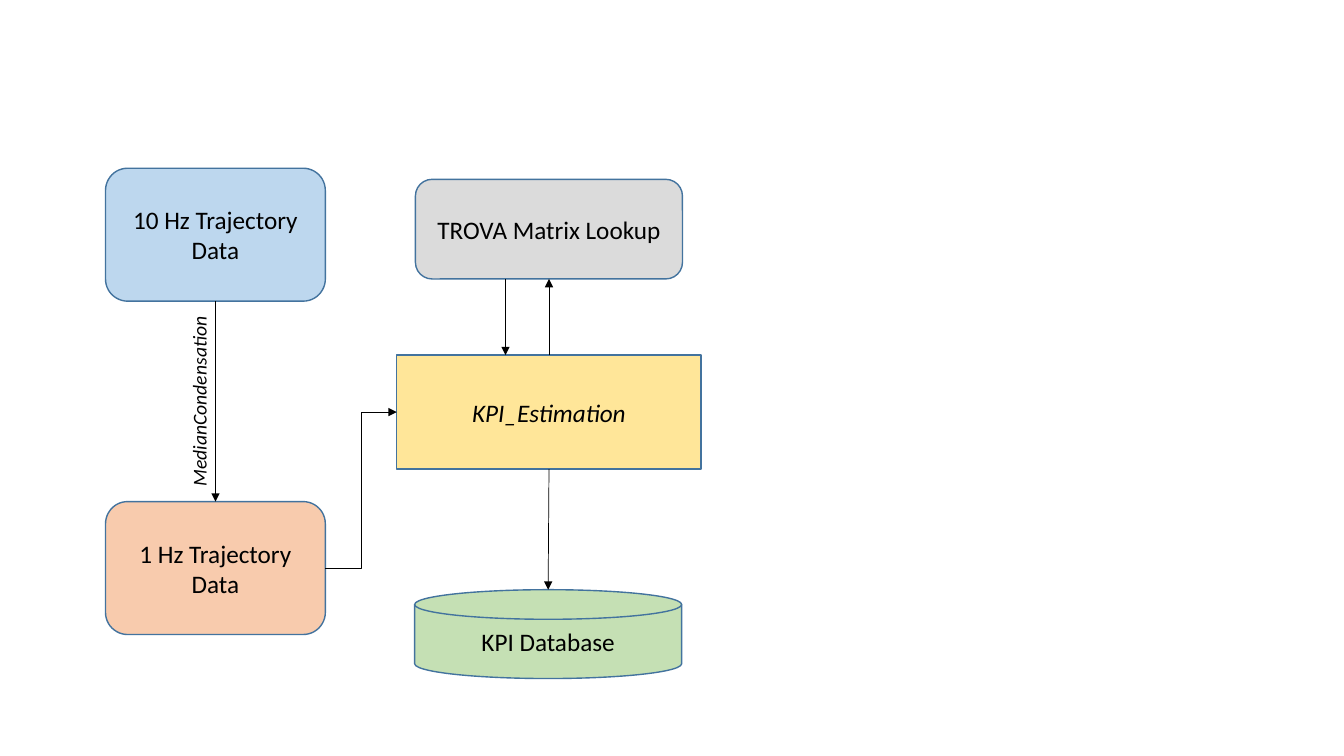
from pptx import Presentation
from pptx import util as u
from pptx.dml.color import RGBColor
from pptx.enum import shapes, text
from pptx.oxml.ns import qn
from lxml import etree

FONT = "Calibri"
BLACK, OUTLINE = "000000", "43739E"
KIND = shapes.MSO_SHAPE
LINK = shapes.MSO_CONNECTOR
TOP, LEFT, BOTTOM, RIGHT = range(4)

# name: (text, shape, fill, italic, (left, top, width, height) in cm)
STEPS = {
    "raw": ("10 Hz Trajectory Data", KIND.ROUNDED_RECTANGLE, "BDD7EE", False,
            (2.66, 4.24, 5.54, 3.35)),
    "condensed": ("1 Hz Trajectory Data", KIND.ROUNDED_RECTANGLE, "F8CBAD", False,
                  (2.66, 12.64, 5.54, 3.35)),
    "lookup": ("TROVA Matrix Lookup", KIND.ROUNDED_RECTANGLE, "DBDBDB", False,
               (10.47, 4.52, 6.73, 2.51)),
    "estimation": ("KPI_Estimation", KIND.RECTANGLE, "FFE699", True,
                   (10.0, 8.95, 7.67, 2.87)),
    "database": ("KPI Database", KIND.FLOWCHART_MAGNETIC_DISK, "C5E0B4", False,
                 (10.45, 14.86, 6.73, 2.24)),
}
# (from, side, to, side, connector)
JOINED = [
    ("raw", BOTTOM, "condensed", TOP, LINK.STRAIGHT),
    ("estimation", TOP, "lookup", BOTTOM, LINK.STRAIGHT),
    ("condensed", RIGHT, "estimation", LEFT, LINK.ELBOW),
]
LABEL = ("MedianCondensation", (1.78, 8.84, 6.48, 0.86))
REPLY_X = 12.74


def color(value):
    return RGBColor.from_string(value)


def write(box, words, size, italic):
    box.text_frame.word_wrap = True
    para = box.text_frame.paragraphs[0]
    para.text = words
    para.font.name = FONT
    para.font.size = u.Pt(size)
    para.font.italic = italic
    para.font.color.rgb = color(BLACK)
    return para


def add_step(page, words, kind, fill, italic, frame):
    box = page.shapes.add_shape(kind, *map(u.Cm, frame))
    box.shadow.inherit = False
    box.fill.solid()
    box.fill.fore_color.rgb = color(fill)
    box.line.color.rgb = color(OUTLINE)
    box.line.width = u.Pt(1)
    box.text_frame.vertical_anchor = text.MSO_ANCHOR.MIDDLE
    write(box, words, 18, italic).alignment = text.PP_ALIGN.CENTER
    return box


def add_arrow(page, kind, start=(0, 0), end=(0, 0)):
    arrow = page.shapes.add_connector(kind, *start, *end)
    arrow.line.color.rgb = color(BLACK)
    arrow.line.width = u.Pt(0.5)
    etree.SubElement(arrow.get_or_add_ln(), qn("a:tailEnd"), type="triangle")
    etree.SubElement(arrow._element.spPr, qn("a:effectLst"))
    return arrow


def main():
    deck = Presentation()
    deck.slide_width, deck.slide_height = u.Cm(33.87), u.Cm(19.05)
    page = deck.slides.add_slide(deck.slide_layouts[6])

    boxes = {name: add_step(page, *step) for name, step in STEPS.items()}

    for source, source_side, target, target_side, kind in JOINED:
        arrow = add_arrow(page, kind)
        arrow.begin_connect(boxes[source], source_side)
        arrow.end_connect(boxes[target], target_side)

    lookup, estimation, database = (
        boxes[name] for name in ("lookup", "estimation", "database"))
    add_arrow(page, LINK.STRAIGHT, (u.Cm(REPLY_X), lookup.top + lookup.height),
              (u.Cm(REPLY_X), estimation.top))

    # The disk's connection sites are numbered differently, so this end stays free.
    store = add_arrow(page, LINK.STRAIGHT,
                      end=(database.left + database.width // 2, database.top))
    store.begin_connect(estimation, BOTTOM)

    words, frame = LABEL
    label = page.shapes.add_textbox(*map(u.Cm, frame))
    label.rotation = 270
    label.text_frame.auto_size = text.MSO_AUTO_SIZE.SHAPE_TO_FIT_TEXT
    write(label, words, 14, True)

    deck.save("out.pptx")


if __name__ == "__main__":
    main()
